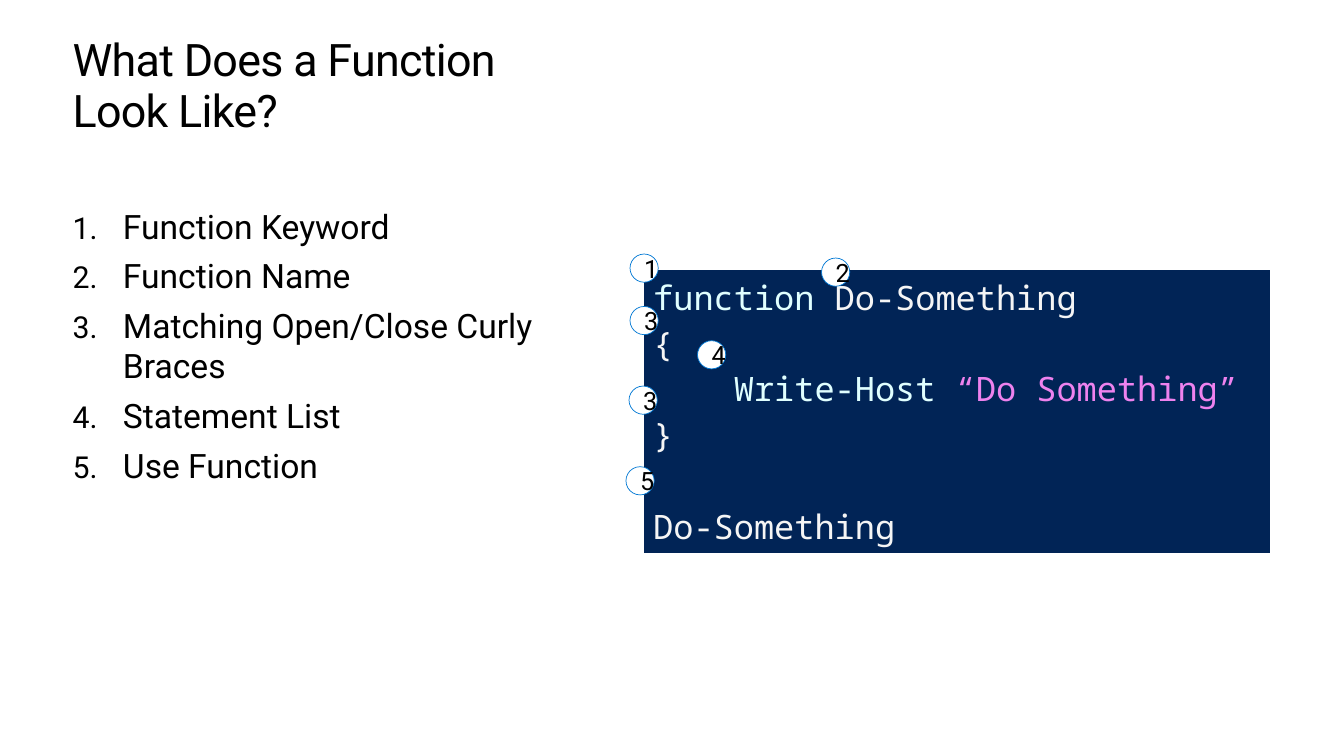
from lxml.etree import SubElement
from pptx import Presentation
from pptx.dml.color import RGBColor
from pptx.enum.shapes import MSO_SHAPE
from pptx.enum.text import MSO_ANCHOR, MSO_AUTO_SIZE, PP_ALIGN
from pptx.oxml.ns import qn
from pptx.util import Inches, Pt

COLORS = {
    "black": "000000",
    "white": "FFFFFF",
    "console": "012456",
    "command": "E0FFFF",
    "plain": "F5F5F5",
    "string": "EE82EE",
    "ring": "0078D4",
}
SANS, MONO = "Roboto", "Noto Sans Mono"
COLUMNS, ROWS = 160, 90
WIDTH, HEIGHT = Inches(13.33), Inches(7.5)

TITLE_BOX = (8.64, 4.2, 57.12, 6)
PARTS_BOX = (8.64, 18.48, 57.12, 63.24)
CODE_BOX = (76.56, 32.04, 74.76, 33.84)
MARKER_SIZE = 3.36

PARTS = [
    "Function Keyword",
    "Function Name",
    "Matching Open/Close Curly Braces",
    "Statement List",
    "Use Function",
]
CODE = [
    ({}, [("function", "command"), (" Do-Something", "plain")]),
    ({}, [("{", "plain")]),
    ({"indent": 0.8}, [("Write-Host ", "command"), ("“Do Something”", "string")]),
    ({}, [("}", "plain")]),
    ({"before": 32.7}, [("Do-Something", "plain")]),
]
MARKERS = [
    ("1", -1.56, -1.8),
    ("2", 21.24, -1.32),
    ("4", 6.48, 8.52),
    ("3", -1.56, 4.44),
    ("3", -1.68, 13.92),
    ("5", -2.04, 23.52),
]


def rgb(name):
    return RGBColor.from_string(COLORS[name])


def on_grid(box):
    left, top, width, height = box
    return (
        round(left * WIDTH / COLUMNS),
        round(top * HEIGHT / ROWS),
        round(width * WIDTH / COLUMNS),
        round(height * HEIGHT / ROWS),
    )


def apply(target, values):
    for key, value in values.items():
        setattr(target, key, value)


def add_run(paragraph, text, size, face, color):
    run = paragraph.add_run()
    run.text = text
    apply(run.font, {"size": Pt(size), "name": face})
    run.font.color.rgb = rgb(color)
    return run


def place(placeholder, box, margin_top=0):
    apply(placeholder, dict(zip(("left", "top", "width", "height"), on_grid(box))))
    frame = placeholder.text_frame
    apply(frame, {
        "margin_left": 0,
        "margin_right": 0,
        "margin_top": margin_top,
        "margin_bottom": 0,
        "word_wrap": True,
        "auto_size": MSO_AUTO_SIZE.NONE,
        "vertical_anchor": MSO_ANCHOR.TOP,
    })
    return frame


def fill_title(slide, box):
    heading = place(slide.shapes.title, box).paragraphs[0]
    apply(heading, {"alignment": PP_ALIGN.LEFT, "line_spacing": Pt(36.2)})
    run = add_run(heading, "What Does a Function Look Like?", 32, SANS, "black")
    run.font._element.set("spc", "-50")


def number(paragraph):
    properties = paragraph._p.get_or_add_pPr()
    properties.set("marL", str(Inches(0.5)))
    properties.set("indent", str(-Inches(0.5)))
    tint = SubElement(properties, qn("a:buClr"))
    SubElement(tint, qn("a:srgbClr"), val=COLORS["black"])
    SubElement(properties, qn("a:buSzPct"), val="90000")
    SubElement(properties, qn("a:buFont"), typeface=SANS)
    SubElement(properties, qn("a:buAutoNum"), type="arabicPeriod")


def fill_parts(slide, box):
    frame = place(slide.placeholders[1], box, Inches(0.5))
    for index, part in enumerate(PARTS):
        item = frame.add_paragraph() if index else frame.paragraphs[0]
        apply(item, {"space_before": Pt(0), "space_after": Pt(6.7)})
        number(item)
        add_run(item, part, 24, SANS, "black")


def add_borders(cell):
    properties = cell._tc.get_or_add_tcPr()
    for side, points in {"L": 1, "R": 1, "T": 1, "B": 3}.items():
        border = SubElement(properties, qn(f"a:ln{side}"), w=str(Pt(points)))
        paint = SubElement(border, qn("a:solidFill"))
        SubElement(paint, qn("a:srgbClr"), val=COLORS["white"])


def add_code(slide, box):
    listing = slide.shapes.add_table(1, 1, *on_grid(box)).table
    apply(listing, {"first_row": False, "horz_banding": False})
    cell = listing.cell(0, 0)
    add_borders(cell)
    cell.fill.solid()
    cell.fill.fore_color.rgb = rgb("console")
    for index, (layout, words) in enumerate(CODE):
        frame = cell.text_frame
        line = frame.add_paragraph() if index else frame.paragraphs[0]
        if "indent" in layout:
            line._p.get_or_add_pPr().set("marL", str(Inches(layout["indent"])))
        if "before" in layout:
            line.space_before = Pt(layout["before"])
        for text, color in words:
            add_run(line, text, 24, MONO, color)


def add_markers(slide, box):
    left, top = box[:2]
    for label, across, down in MARKERS:
        spot = (left + across, top + down, MARKER_SIZE, MARKER_SIZE)
        marker = slide.shapes.add_shape(MSO_SHAPE.OVAL, *on_grid(spot))
        marker.shadow.inherit = False
        marker.fill.solid()
        marker.fill.fore_color.rgb = rgb("white")
        marker.line.color.rgb = rgb("ring")
        marker.line.width = Pt(0.5)
        marker.text_frame.vertical_anchor = MSO_ANCHOR.MIDDLE
        caption = marker.text_frame.paragraphs[0]
        caption.alignment = PP_ALIGN.CENTER
        add_run(caption, label, 18, SANS, "black")


def main():
    deck = Presentation()
    apply(deck, {"slide_width": WIDTH, "slide_height": HEIGHT})
    slide = deck.slides.add_slide(deck.slide_layouts[1])
    fill_title(slide, TITLE_BOX)
    fill_parts(slide, PARTS_BOX)
    add_code(slide, CODE_BOX)
    add_markers(slide, CODE_BOX)
    deck.save("out.pptx")


if __name__ == "__main__":
    main()
